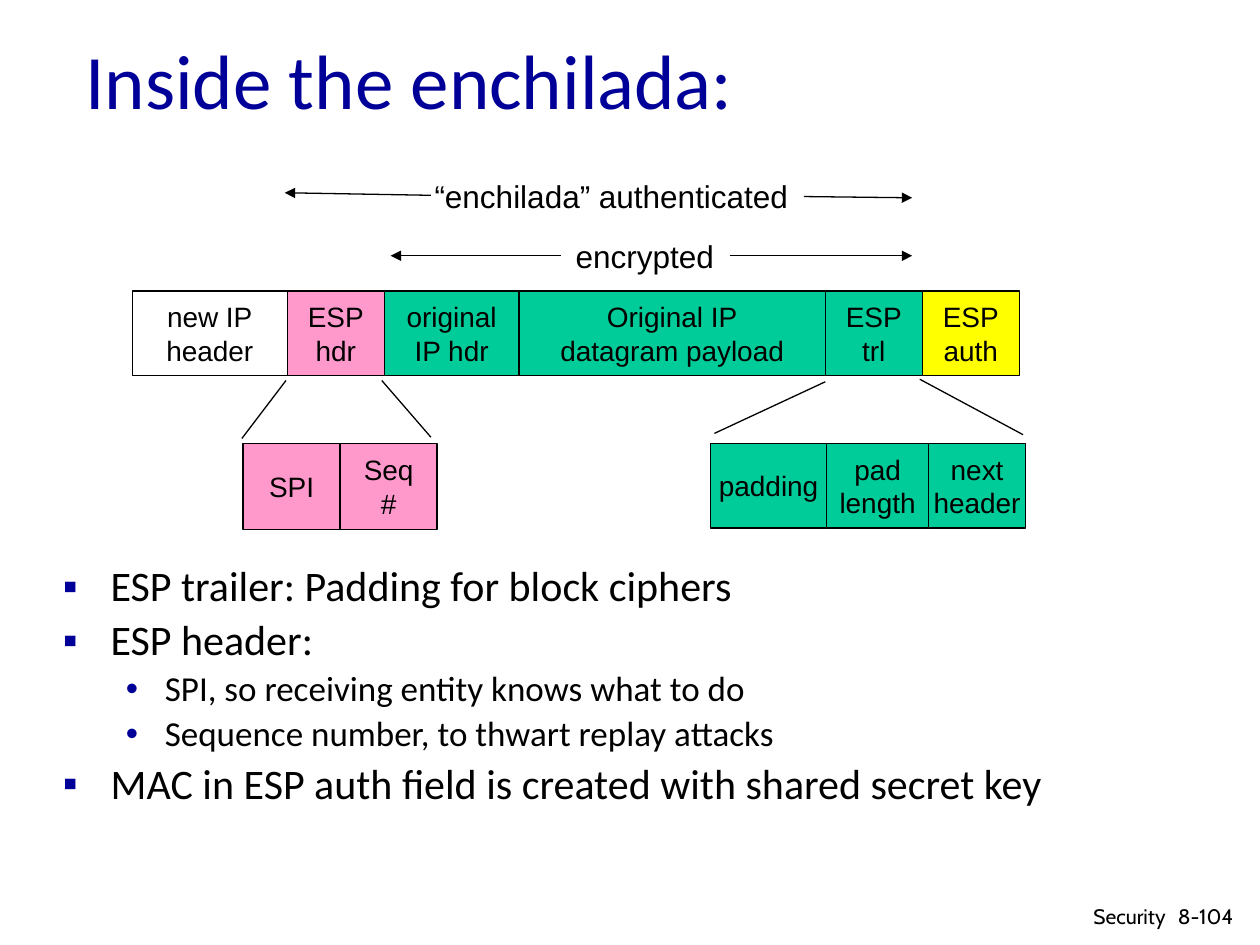
from lxml.etree import SubElement
from pptx import Presentation
from pptx.dml.color import RGBColor
from pptx.enum.shapes import MSO_CONNECTOR, MSO_SHAPE
from pptx.enum.text import MSO_ANCHOR, PP_ALIGN
from pptx.oxml.ns import qn
from pptx.util import Inches, Pt

COLORS = {
    "title": "000099",
    "text": "000000",
    "plain": None,
    "header": "FF99CC",
    "encrypted": "00CC99",
    "auth": "FFFF00",
}
BULLETS = [
    (0, "ESP trailer: Padding for block ciphers"),
    (0, "ESP header:"),
    (1, "SPI, so receiving entity knows what to do"),
    (1, "Sequence number, to thwart replay attacks"),
    (0, "MAC in ESP auth field is created with shared secret key"),
]
LEVELS = [("▪", 0.38, 0.38, 24), ("•", 0.81, 0.31, 20)]
PACKET = [
    ("new IP\nheader", 1.23, "plain"),
    ("ESP\nhdr", 0.77, "header"),
    ("original\nIP hdr", 1.07, "encrypted"),
    ("Original IP\ndatagram payload", 2.43, "encrypted"),
    ("ESP\ntrl", 0.77, "encrypted"),
    ("ESP\nauth", 0.77, "auth"),
]
ESP_HEADER = [("SPI", 0.77, "header"), ("Seq\n#", 0.77, "header")]
ESP_TRAILER = [
    ("padding", 0.92, "encrypted"),
    ("pad\nlength", 0.81, "encrypted"),
    ("next\nheader", 0.77, "encrypted"),
]


def rgb(name):
    """Return the named colour."""
    return RGBColor.from_string(COLORS[name])


def format_text(paragraph, font, size, color="text", align=PP_ALIGN.LEFT):
    """Format the runs of a paragraph and align it."""
    paragraph.alignment = align
    for run in paragraph.runs:
        run.font.name = font
        run.font.size = Pt(size)
        run.font.color.rgb = rgb(color)


def add_label(slide, box, text, font, size, color="text", align=PP_ALIGN.LEFT,
              anchor=MSO_ANCHOR.TOP, wrap=True):
    """Add a text box with one line of text."""
    frame = slide.shapes.add_textbox(*map(Inches, box)).text_frame
    frame.word_wrap = wrap
    frame.vertical_anchor = anchor
    frame.text = text
    format_text(frame.paragraphs[0], font, size, color, align)


def add_line(slide, start, end, arrow=False):
    """Draw a thin line, optionally with an arrowhead at its end."""
    line = slide.shapes.add_connector(
        MSO_CONNECTOR.STRAIGHT, *map(Inches, (*start, *end)))
    line.line.color.rgb = rgb("text")
    line.line.width = Pt(0.75)
    if arrow:
        SubElement(line.line._get_or_add_ln(), qn("a:tailEnd"), type="triangle")
    SubElement(line._element.spPr, qn("a:effectLst"))


def add_fields(slide, left, top, height, fields):
    """Lay packet fields side by side from the left edge."""
    for text, width, color in fields:
        field = slide.shapes.add_shape(
            MSO_SHAPE.RECTANGLE, *map(Inches, (left, top, width, height)))
        field.shadow.inherit = False
        if COLORS[color]:
            field.fill.solid()
            field.fill.fore_color.rgb = rgb(color)
        else:
            field.fill.background()
        field.line.color.rgb = rgb("text")
        field.line.width = Pt(0.75)
        frame = field.text_frame
        frame.word_wrap = False
        frame.vertical_anchor = MSO_ANCHOR.MIDDLE
        frame.text = text
        for paragraph in frame.paragraphs:
            format_text(paragraph, "Arial", 16, align=PP_ALIGN.CENTER)
        left += width


def add_span(slide, box, text, left_arrow, right_arrow):
    """Add a span label with an arrow pointing out on each side."""
    add_label(slide, box, text, "Arial", 18, wrap=False)
    for start, end in (left_arrow, right_arrow):
        add_line(slide, start, end, arrow=True)


def add_detail(slide, left, top, height, fields, guides):
    """Add the fields of an expanded part with its guide lines."""
    add_fields(slide, left, top, height, fields)
    for start, end in guides:
        add_line(slide, start, end)


def add_bullets(slide, box):
    """Add the two-level bullet list."""
    frame = slide.shapes.add_textbox(*map(Inches, box)).text_frame
    frame.word_wrap = True
    frame.text = "\n".join(text for _, text in BULLETS)
    for index, (level, _) in enumerate(BULLETS):
        paragraph = frame.paragraphs[index]
        mark, margin, hanging, size = LEVELS[level]
        paragraph.level = level
        paragraph.line_spacing = 0.9
        paragraph.space_before = Pt(0.2 * size if index else 0)
        properties = paragraph._p.get_or_add_pPr()
        properties.set("marL", str(Inches(margin)))
        properties.set("indent", str(-Inches(hanging)))
        bullet_color = SubElement(properties, qn("a:buClr"))
        SubElement(bullet_color, qn("a:srgbClr"), val=COLORS["title"])
        SubElement(properties, qn("a:buFont"), typeface="Arial")
        SubElement(properties, qn("a:buChar"), char=mark)
        format_text(paragraph, "Calibri", size)


def add_footer(slide, left, top):
    """Add the chapter name and the page number."""
    add_label(slide, (left + 0.69, top, 0.75, 0.3), "8-104", "Cabin", 12)
    add_label(slide, (left, top, 0.79, 0.28), "Security", "Cabin", 12,
              align=PP_ALIGN.RIGHT)


def main():
    """Build and save the slide."""
    deck = Presentation()
    deck.slide_width, deck.slide_height = Inches(10), Inches(7.5)
    slide = deck.slides.add_slide(deck.slide_layouts[6])
    add_label(slide, (0.58, 0, 8.5, 1.25), "Inside the enchilada:", "Calibri",
              44, "title", anchor=MSO_ANCHOR.MIDDLE)
    add_bullets(slide, (0.4, 4.44, 8.5, 2.59))
    add_fields(slide, 1.05, 2.31, 0.67, PACKET)
    add_span(slide, (4.47, 1.83, 1.3, 0.4), "encrypted",
             ((4.45, 2.03), (3.1, 2.03)), ((5.79, 2.03), (7.24, 2.03)))
    add_span(slide, (3.35, 1.36, 3.01, 0.4), "“enchilada” authenticated",
             ((3.42, 1.55), (2.26, 1.53)), ((6.38, 1.56), (7.24, 1.57)))
    add_detail(slide, 5.64, 3.52, 0.67, ESP_TRAILER,
               [((5.67, 3.44), (6.55, 3.03)), ((8.12, 3.45), (7.3, 3.01))])
    add_detail(slide, 1.93, 3.52, 0.68, ESP_HEADER,
               [((1.92, 3.48), (2.27, 3.02)), ((3.03, 3.02), (3.42, 3.47))])
    add_footer(slide, 8.56, 7.12)
    deck.save("out.pptx")


if __name__ == "__main__":
    main()
